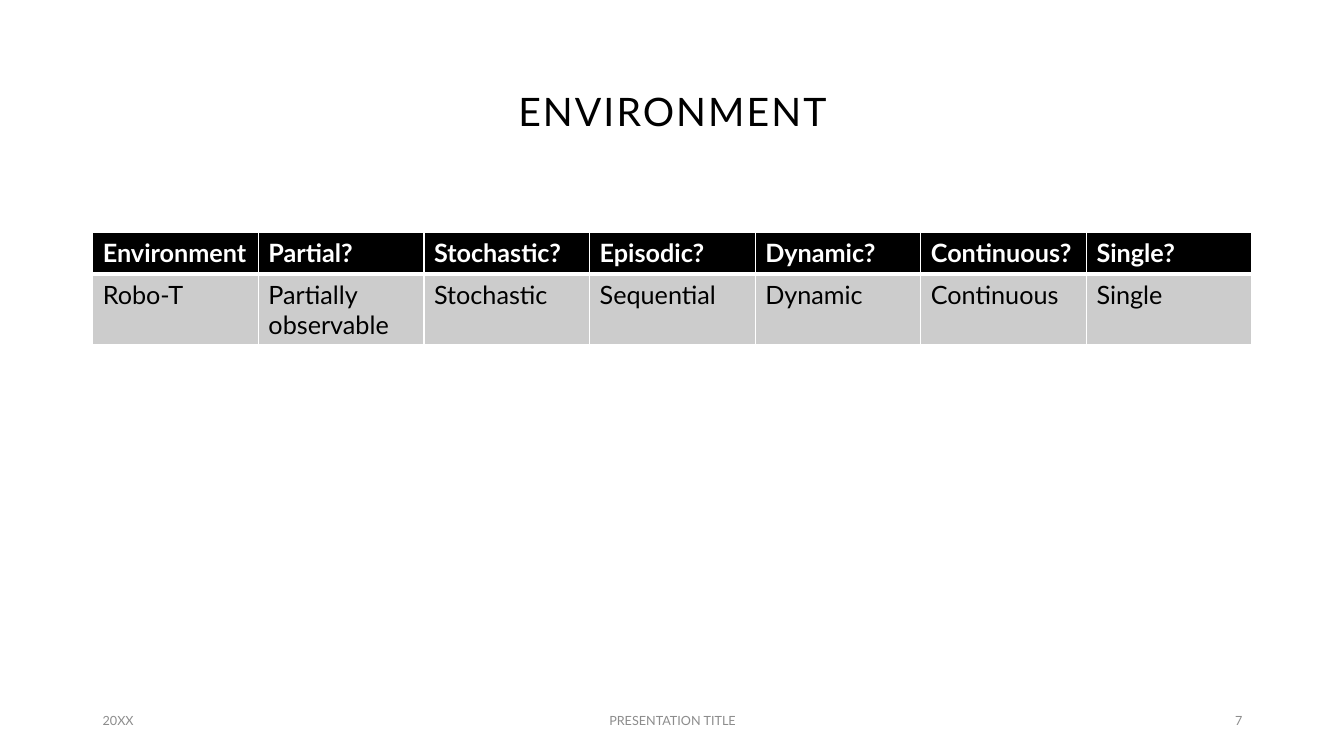
from lxml import etree
from pptx import Presentation
from pptx import util as u
from pptx.dml.color import RGBColor
from pptx.enum import text as t
from pptx.oxml import ns

BLACK = RGBColor(0x00, 0x00, 0x00)
WHITE = RGBColor(0xFF, 0xFF, 0xFF)
GREY = RGBColor(0x8C, 0x8C, 0x8C)
PALE = RGBColor(0xCC, 0xCC, 0xCC)
FONT = "Lato"
LEFT, WIDTH = 0.92, 11.5

HEADS = ["Environment", "Partial?", "Stochastic?", "Episodic?",
         "Dynamic?", "Continuous?", "Single?"]
VALUES = ["Robo-T", "Partially observable", "Stochastic", "Sequential",
          "Dynamic", "Continuous", "Single"]
FOOTERS = [
    (LEFT, 3, "20XX", t.PP_ALIGN.LEFT),
    (4.42, 4.5, "PRESENTATION TITLE", t.PP_ALIGN.CENTER),
    (9.42, 3, "7", t.PP_ALIGN.RIGHT),
]


def add_run(frame, words, size, color, align=t.PP_ALIGN.LEFT, bold=False):
    para = frame.paragraphs[0]
    para.alignment = align
    run = para.add_run()
    run.text = words
    font = run.font
    font.name, font.size, font.bold = FONT, u.Pt(size), bold
    font.color.rgb = color
    return run


def add_title(slide, words):
    title = slide.shapes.title
    title.left, title.top = u.Inches(LEFT), u.Inches(0.4)
    title.width, title.height = u.Inches(WIDTH), u.Inches(1.45)
    frame = title.text_frame
    frame.word_wrap = True
    frame.vertical_anchor = t.MSO_ANCHOR.MIDDLE
    run = add_run(frame, words, 28, BLACK, t.PP_ALIGN.CENTER)
    run.font._element.set("spc", "150")
    frame.paragraphs[0].line_spacing = 0.9


def add_footer(slide, left, width, words, align):
    box = slide.shapes.add_textbox(
        u.Inches(left), u.Inches(6.95), u.Inches(width), u.Inches(0.4))
    frame = box.text_frame
    frame.word_wrap = True
    frame.vertical_anchor = t.MSO_ANCHOR.MIDDLE
    add_run(frame, words, 9, GREY, align)


def add_border(cell, side, points):
    props = cell._tc.get_or_add_tcPr()
    line = etree.SubElement(props, ns.qn("a:ln" + side), w=str(u.Pt(points)))
    fill = etree.SubElement(line, ns.qn("a:solidFill"))
    etree.SubElement(fill, ns.qn("a:srgbClr"), val=str(WHITE))


def fill_cell(cell, words, head):
    for side in "LRTB":
        thick = side == ("B" if head else "T")
        add_border(cell, side, 3 if thick else 1)
    cell.fill.solid()
    cell.fill.fore_color.rgb = BLACK if head else PALE
    add_run(cell.text_frame, words, 18, WHITE if head else BLACK, bold=head)


def add_grid(slide, rows, heights):
    frame = slide.shapes.add_table(
        len(rows), len(rows[0]), u.Inches(LEFT), u.Inches(2.31),
        u.Inches(WIDTH), u.Inches(sum(heights)))
    table = frame.table
    for col in table.columns:
        col.width = u.Inches(WIDTH / len(rows[0]))
    for r, words in enumerate(rows):
        table.rows[r].height = u.Inches(heights[r])
        for c, word in enumerate(words):
            fill_cell(table.cell(r, c), word, r == 0)


def main():
    deck = Presentation()
    deck.slide_width, deck.slide_height = u.Inches(13.33), u.Inches(7.5)
    slide = deck.slides.add_slide(deck.slide_layouts[5])
    slide.background.fill.solid()
    slide.background.fill.fore_color.rgb = WHITE
    add_title(slide, "ENVIRONMENT")
    for footer in FOOTERS:
        add_footer(slide, *footer)
    add_grid(slide, [HEADS, VALUES], [0.41, 0.7])
    deck.save("out.pptx")


if __name__ == "__main__":
    main()
